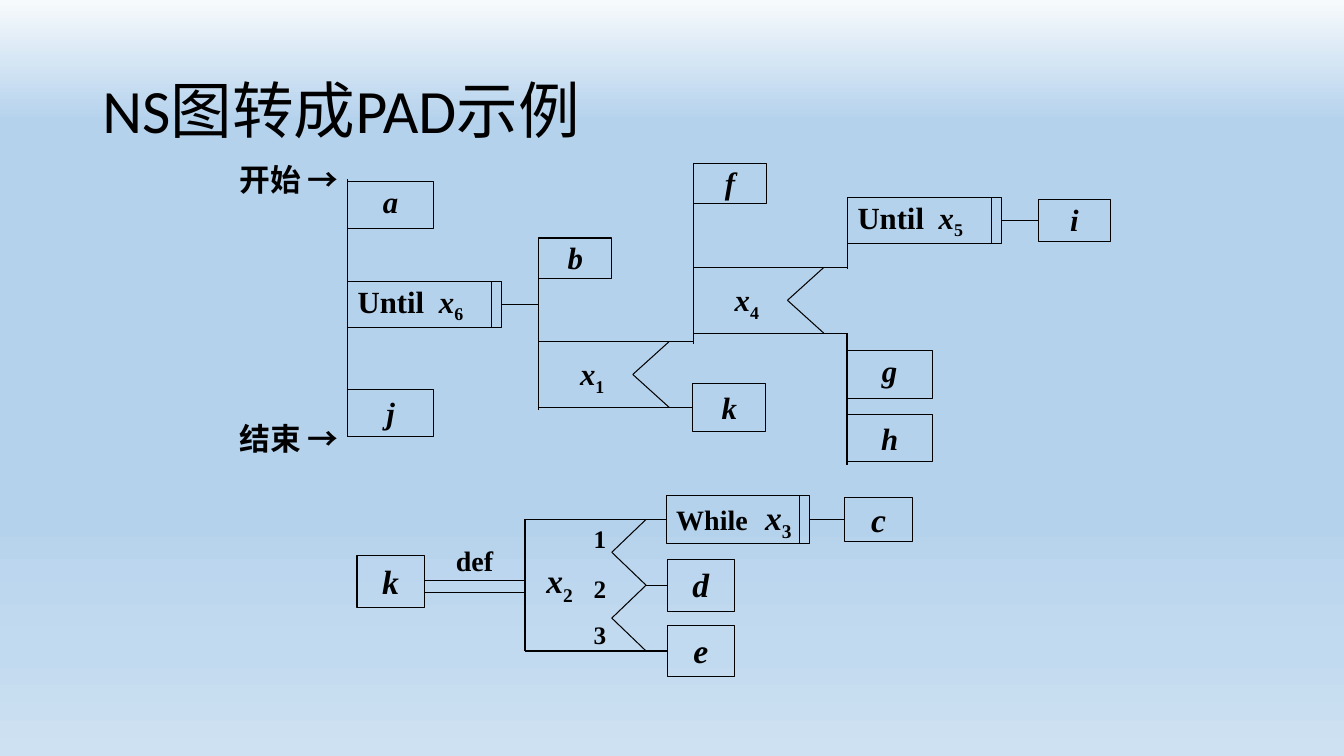
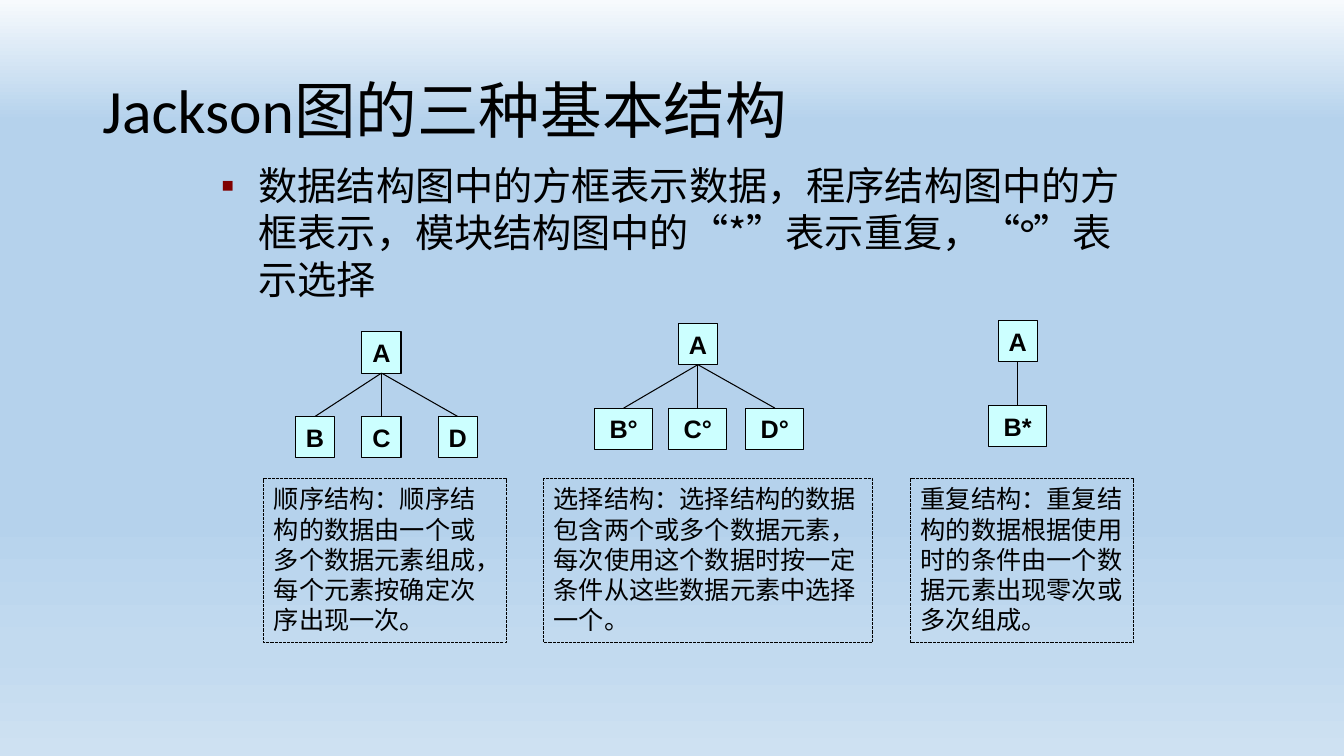
from itertools import pairwise

from lxml import etree
from pptx import Presentation
from pptx.dml.color import RGBColor
from pptx.enum.dml import MSO_LINE
from pptx.enum.shapes import MSO_CONNECTOR, MSO_SHAPE
from pptx.enum.text import MSO_ANCHOR, MSO_AUTO_SIZE, PP_ALIGN
from pptx.oxml.ns import qn
from pptx.util import Pt

LEFT, CENTER = PP_ALIGN.LEFT, PP_ALIGN.CENTER
ANCHOR_TOP, ANCHOR_MIDDLE = MSO_ANCHOR.TOP, MSO_ANCHOR.MIDDLE
NO_AUTOFIT = MSO_AUTO_SIZE.NONE
RECTANGLE = MSO_SHAPE.RECTANGLE
STRAIGHT = MSO_CONNECTOR.STRAIGHT
SHORT_DASH = MSO_LINE.SQUARE_DOT
SIDE_TOP, SIDE_LEFT, SIDE_BOTTOM, SIDE_RIGHT = range(4)
TITLE_AND_CONTENT, TITLE_ONLY = 1, 5

COLORS = {"ink": "000000", "node": "CCFFFF", "bullet": "800000"}
BACKGROUND = [(0, "F7FAFD"), (16, "B5D2EC"), (71, "B8D4ED"), (86, "C2DAEF"), (100, "CEE1F2")]
CJK_FONT = "Noto Sans CJK SC"
TITLE = {"name": "Calibri", "size": Pt(44)}
BODY = {"name": CJK_FONT, "size": Pt(28)}
NOTE = {"name": CJK_FONT, "size": Pt(18)}
NODE = {"name": "Arial", "size": Pt(18), "bold": True}
ITALIC = {"italic": True}
TIGHT = 0.7
ROOMY = 3.6
LINE_HEIGHT = 1.2


def serif(size):
    return {"name": "Times New Roman", "size": Pt(size), "bold": True}


def variable(number):
    return [("x", ITALIC), (number, {"subscript": True})]


def set_background(master):
    fill = master.background.fill
    fill.gradient()
    fill.gradient_angle = 270
    stops = master.element.xpath(".//p:bg//a:gsLst")[0]
    for stop in list(stops):
        stops.remove(stop)
    for position, color in BACKGROUND:
        stop = etree.SubElement(stops, qn("a:gs"), pos=str(position * 1000))
        etree.SubElement(stop, qn("a:srgbClr"), val=color)


def place(shape, left, top, width, height):
    box = {"left": left, "top": top, "width": width, "height": height}
    for name, value in box.items():
        setattr(shape, name, Pt(value))


def add_run(paragraph, text, style):
    run = paragraph.add_run()
    run.text = text
    run.font.color.rgb = RGBColor.from_string(COLORS["ink"])
    for name, value in style.items():
        if name != "subscript":
            setattr(run.font, name, value)
    properties = run._r.get_or_add_rPr()
    if style.get("subscript"):
        properties.set("baseline", "-25000")
    if style["name"] == CJK_FONT:
        etree.SubElement(properties, qn("a:ea"), typeface=CJK_FONT)


def write(shape, runs, style, alignment=CENTER, anchor=ANCHOR_TOP, inset=ROOMY, side=7.2):
    frame = shape.text_frame
    layout = {
        "word_wrap": True, "auto_size": NO_AUTOFIT, "vertical_anchor": anchor,
        "margin_left": Pt(side), "margin_right": Pt(side),
        "margin_top": Pt(inset), "margin_bottom": Pt(inset),
    }
    for name, value in layout.items():
        setattr(frame, name, value)
    paragraph = frame.paragraphs[0]
    paragraph.alignment = alignment
    paragraph.space_before = Pt(0)
    for text, changes in runs:
        add_run(paragraph, text, {**style, **changes})
    return paragraph


def add_slide(presentation, layout, title):
    slide = presentation.slides.add_slide(presentation.slide_layouts[layout])
    paragraph = write(slide.shapes.title, [(title, {})], TITLE, LEFT, ANCHOR_MIDDLE)
    paragraph.line_spacing = 0.9
    return slide


def add_box(slide, left, top, width, height, fill=None):
    shape = slide.shapes.add_shape(RECTANGLE, Pt(left), Pt(top), Pt(width), Pt(height))
    shape.shadow.inherit = False
    shape.line.color.rgb = RGBColor.from_string(COLORS["ink"])
    shape.line.width = Pt(0.75)
    if fill:
        shape.fill.solid()
        shape.fill.fore_color.rgb = RGBColor.from_string(COLORS[fill])
    else:
        shape.fill.background()
    return shape


def add_label(slide, left, top, width, height, runs, style, alignment=CENTER, inset=ROOMY):
    shape = slide.shapes.add_textbox(Pt(left), Pt(top), Pt(width), Pt(height))
    write(shape, runs, style, alignment, inset=inset)


def add_step(slide, letter, left, top, width, height, size=22, inset=TIGHT):
    shape = add_box(slide, left, top, width, height)
    write(shape, [(letter, ITALIC)], serif(size), inset=inset)
    return shape


def add_line(slide, start, finish):
    start_glued, finish_glued = (hasattr(end[0], "shape_id") for end in (start, finish))
    begin = (0, 0) if start_glued else start
    end = (0, 0) if finish_glued else finish
    connector = slide.shapes.add_connector(STRAIGHT, *map(Pt, (*begin, *end)))
    if start_glued:
        connector.begin_connect(*start)
    if finish_glued:
        connector.end_connect(*finish)
    connector.line.color.rgb = RGBColor.from_string(COLORS["ink"])
    connector.line.width = Pt(0.75)
    etree.SubElement(connector._element.spPr, qn("a:effectLst"))


def add_polyline(slide, points):
    for start, finish in pairwise(points):
        add_line(slide, start, finish)


def add_loop(slide, keyword, number, left, top, width, height, tab, size=22, keyword_size=22):
    shape = add_box(slide, left, top, width, height)
    runs = [(keyword, {"size": Pt(keyword_size)}), ("\t", {}), *variable(number)]
    paragraph = write(shape, runs, serif(size), LEFT, inset=TIGHT, side=7)
    tabs = etree.SubElement(paragraph._p.get_or_add_pPr(), qn("a:tabLst"))
    etree.SubElement(tabs, qn("a:tab"), pos=str(Pt(tab)), algn="l")
    divider = left + width - 7.5
    add_line(slide, (divider, top), (divider, top + height))
    return shape


def add_selection(slide, number, left, top, bottom_end=None):
    right, middle, bottom = left + 110.5, top + 23.5, top + 47
    add_line(slide, (left, top), (right, top))
    add_line(slide, (left, bottom), bottom_end or (right, bottom))
    add_polyline(slide, [(left + 93, top), (left + 67, middle), (left + 93, bottom)])
    add_label(slide, left + 12, top + 6, 52, 34, variable(number), serif(22))


def add_case(slide, number, left, top, targets):
    spacing = 47
    outer, inner = left + 86.5, left + 62
    add_line(slide, (left, top), (left, top + 2 * spacing))
    zigzag = [(inner if step % 2 else outer, top + step * spacing / 2) for step in range(5)]
    add_polyline(slide, zigzag)
    for row, target in enumerate(targets):
        start = outer if row == 1 else left
        add_line(slide, (start, top + row * spacing), (target, SIDE_LEFT))
    add_label(slide, left - 5.5, top + 28.5, 60.5, 31, variable(number), serif(24), inset=TIGHT)
    for text, offset in (("1", -1), ("2", 35), ("3", 67.5)):
        add_label(slide, left + 42, top + offset, 36, 29, [(text, {})], serif(18), LEFT)


def add_main_diagram(slide):
    for text, top in (("开始 →", 111), ("结束 →", 296.5)):
        add_label(slide, 164, top, 91, 34, [(text, {})], serif(22), LEFT)
    rails = [(248.5, 128, 312.5), (385, 170.5, 293), (495.5, 118, 245.5),
             (605.5, 141, 192), (605, 238.5, 332)]
    for x, top, bottom in rails:
        add_line(slide, (x, top), (x, bottom))
    for letter, left, top, inset in (("a", 248.5, 129.5, TIGHT), ("j", 248.5, 278, ROOMY),
                                     ("g", 605, 250.5, TIGHT), ("h", 605, 296, ROOMY)):
        add_step(slide, letter, left, top, 61, 34, inset=inset)
    add_step(slide, "b", 385, 170, 52, 29)
    add_step(slide, "f", 495.5, 116.5, 52, 29)
    call = add_step(slide, "k", 495, 274, 52, 34, inset=ROOMY)
    repeated = add_step(slide, "i", 741.5, 142.5, 52, 30)
    inner_loop = add_loop(slide, "Until", "5", 605.5, 141, 110, 33, 58)
    outer_loop = add_loop(slide, "Until", "6", 248.5, 201, 110, 33, 58)
    add_line(slide, (inner_loop, SIDE_RIGHT), (repeated, SIDE_LEFT))
    add_line(slide, (outer_loop, SIDE_RIGHT), (385, 217.5))
    add_selection(slide, "1", 385, 244, (call, SIDE_LEFT))
    add_selection(slide, "4", 495.5, 191)


def add_definition_diagram(slide):
    add_step(slide, "k", 255, 397, 48, 37, 24, ROOMY)
    add_label(slide, 303, 384.5, 72, 31, [("def", {})], serif(20))
    for y in (414.5, 423.5):
        add_line(slide, (303, y), (375, y))
    loop = add_loop(slide, "While", "3", 476, 354, 102.5, 34, 63.5, 24, 20)
    second = add_step(slide, "d", 476.5, 399.5, 48, 37, 24, ROOMY)
    third = add_step(slide, "e", 476.5, 446.5, 48, 37, 24, ROOMY)
    repeated = add_step(slide, "c", 603.5, 355.5, 48, 31, 24)
    add_line(slide, (loop, SIDE_RIGHT), (repeated, SIDE_LEFT))
    add_case(slide, "2", 375, 371, (loop, second, third))


def add_bullet(slide, runs):
    body = slide.placeholders[1]
    place(body, 150.5, 111.5, 669, 108.5)
    paragraph = write(body, runs, BODY, LEFT)
    paragraph.line_spacing = Pt(28 * LINE_HEIGHT)
    properties = paragraph._p.get_or_add_pPr()
    properties.set("marL", str(Pt(27)))
    properties.set("indent", str(-Pt(27)))
    color = etree.SubElement(properties, qn("a:buClr"))
    etree.SubElement(color, qn("a:srgbClr"), val=COLORS["bullet"])
    etree.SubElement(properties, qn("a:buChar"), char="▪")


def add_node(slide, text, center, top):
    width = 28 if len(text) == 1 else 41.5
    shape = add_box(slide, center - width / 2, top, width, 29.5, "node")
    write(shape, [(text, {})], NODE, anchor=ANCHOR_MIDDLE, side=3.6)
    return shape


def add_tree(slide, center, top, children):
    root = add_node(slide, "A", center, top)
    for text, child_center in children:
        child = add_node(slide, text, child_center, top + 60.5)
        add_line(slide, (root, SIDE_BOTTOM), (child, SIDE_TOP))


def add_notes_row(slide, notes):
    left = 188.5
    for width, text in notes:
        shape = add_box(slide, left, 342, width, 117)
        shape.line.dash_style = SHORT_DASH
        paragraph = write(shape, [(text, {})], NOTE, LEFT)
        paragraph.line_spacing = Pt(18 * LINE_HEIGHT)
        left += width + 27


def main():
    presentation = Presentation()
    presentation.slide_width, presentation.slide_height = Pt(960), Pt(540)
    master = presentation.slide_master
    set_background(master)
    place(master.placeholders[0], 66, 29, 828, 104)

    slide = add_slide(presentation, TITLE_ONLY, "NS图转成PAD示例")
    add_main_diagram(slide)
    add_definition_diagram(slide)

    slide = add_slide(presentation, TITLE_AND_CONTENT, "Jackson图的三种基本结构")
    add_bullet(slide, [
        ("数据结构图中的方框表示数据，程序结构图中的方框表示，模块结构图中的“*”表示重复，“", {}),
        ("°", {"name": "Calibri"}),
        ("”表示选择", {}),
    ])
    add_tree(slide, 272.5, 237, [("B", 225), ("C", 272.5), ("D", 327)])
    add_tree(slide, 498.5, 231, [("B°", 445.5), ("C°", 498.5), ("D°", 553.5)])
    add_tree(slide, 727, 229, [("B*", 727)])
    add_notes_row(slide, [
        (173, "顺序结构：顺序结构的数据由一个或多个数据元素组成，每个元素按确定次序出现一次。"),
        (235, "选择结构：选择结构的数据包含两个或多个数据元素，每次使用这个数据时按一定条件从这些数据元素中选择一个。"),
        (159.5, "重复结构：重复结构的数据根据使用时的条件由一个数据元素出现零次或多次组成。"),
    ])
    presentation.save("out.pptx")


if __name__ == "__main__":
    main()
